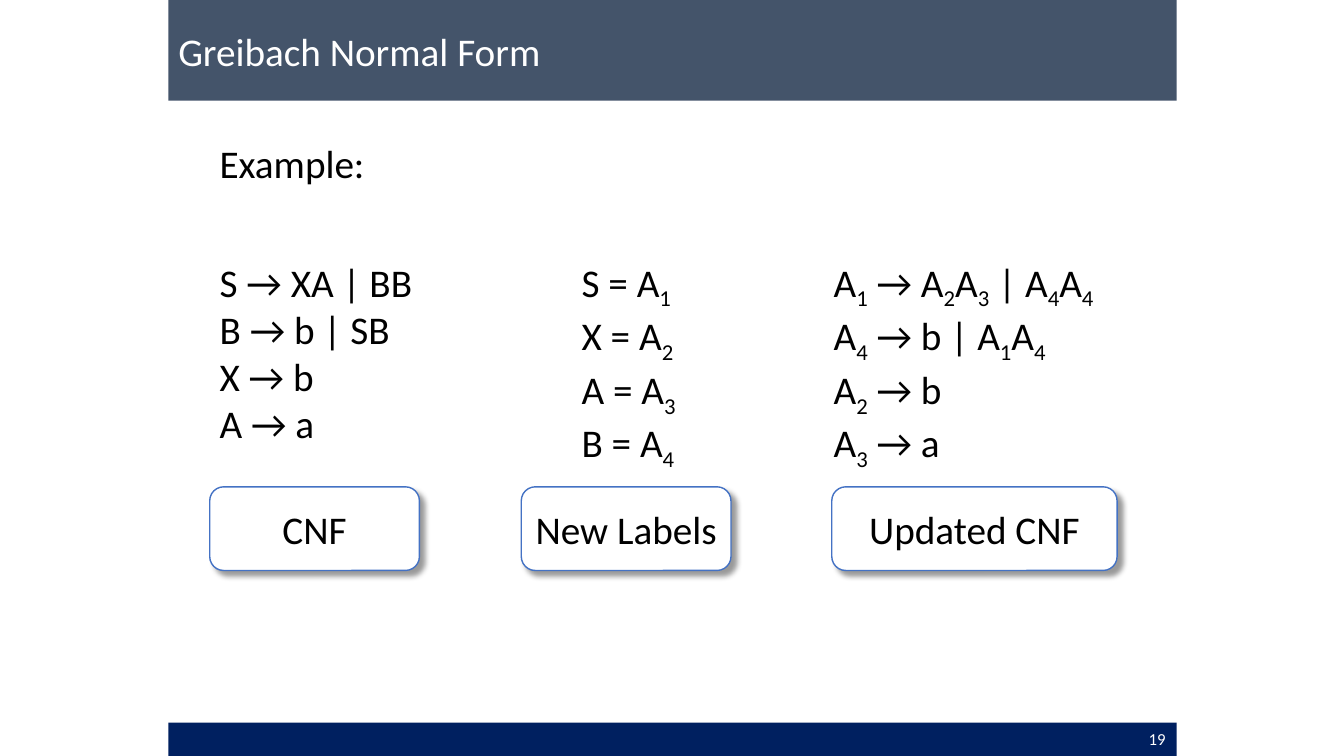
import itertools

import pptx
import pptx.dml.color
import pptx.enum.shapes
import pptx.enum.text
import pptx.oxml
import pptx.oxml.ns
import pptx.util

Inches = pptx.util.Inches
Pt = pptx.util.Pt
Align = pptx.enum.text.PP_ALIGN
Anchor = pptx.enum.text.MSO_ANCHOR
Shape = pptx.enum.shapes.MSO_SHAPE

COLORS = {
    "white": "FFFFFF",
    "black": "000000",
    "slate": "44546A",
    "navy": "002060",
    "blue": "4472C4",
}


class Deck:
    """Holds the slide and its style, and draws each kind of element."""

    font = "Calibri"
    size = 28

    def __init__(self, width, height):
        self.prs = pptx.Presentation()
        self.prs.slide_width = Inches(width)
        self.prs.slide_height = Inches(height)
        self.slide = self.prs.slides.add_slide(self.prs.slide_layouts[6])

    def color(self, name):
        return pptx.dml.color.RGBColor.from_string(COLORS[name])

    def text(self, sp, lines, color="black", size=None, align=Align.LEFT,
             anchor=Anchor.MIDDLE, subscripts=False):
        tf = sp.text_frame
        tf.word_wrap = True
        tf.vertical_anchor = anchor
        for i, line in enumerate(lines):
            p = tf.paragraphs[0] if i == 0 else tf.add_paragraph()
            p.alignment = align
            p.font.name = self.font
            p.font.size = Pt(size or self.size)
            p.font.color.rgb = self.color(color)
            for lowered, chars in itertools.groupby(line, lambda c: subscripts and c.isdigit()):
                r = p.add_run()
                r.text = "".join(chars)
                if lowered:
                    r._r.get_or_add_rPr().set("baseline", "-25000")

    def bar(self, x, y, w, h, fill, shape=Shape.RECTANGLE):
        sp = self.slide.shapes.add_shape(shape, Inches(x), Inches(y), Inches(w), Inches(h))
        sp.shadow.inherit = False
        sp.fill.solid()
        sp.fill.fore_color.rgb = self.color(fill)
        sp.line.fill.background()
        return sp

    def box(self, x, y, w, h):
        return self.slide.shapes.add_textbox(Inches(x), Inches(y), Inches(w), Inches(h))

    def label(self, x, y, w, h, caption):
        sp = self.bar(x, y, w, h, "white", Shape.ROUNDED_RECTANGLE)
        sp.line.color.rgb = self.color("blue")
        sp.line.width = Pt(1)
        effects = sp._element.spPr.find(pptx.oxml.ns.qn("a:effectLst"))
        effects.append(pptx.oxml.parse_xml(
            f'<a:outerShdw {pptx.oxml.ns.nsdecls("a")} blurRad="{Pt(4)}" dist="{Pt(5)}" '
            f'dir="2700000" algn="tl" rotWithShape="0"><a:srgbClr val="{COLORS["black"]}">'
            '<a:alpha val="40000"/></a:srgbClr></a:outerShdw>'))
        sp.text_frame.margin_left = sp.text_frame.margin_right = Inches(0.05)
        self.text(sp, [caption], align=Align.CENTER)

    def column(self, text_x, text_w, label_x, label_w, caption, rules):
        self.text(self.box(text_x, 2.51, text_w, 1.99), rules, anchor=Anchor.TOP, subscripts=True)
        self.label(label_x, 4.83, label_w, 0.83, caption)


def main():
    deck = Deck(13.33, 7.5)
    deck.bar(1.67, 7.17, 10, 0.33, "navy")
    deck.text(deck.bar(1.67, 0, 10, 1, "slate"), ["Greibach Normal Form"], color="white")
    deck.text(deck.box(9.33, 7.15, 2.33, 0.35), ["19"], color="white", size=12, align=Align.RIGHT)
    deck.text(deck.box(2.08, 1.33, 8.33, 0.57), ["Example:"], anchor=Anchor.TOP)
    deck.column(2.08, 2.33, 2.08, 2.08, "CNF",
                ["S → XA | BB", "B → b | SB", "X → b", "A → a"])
    deck.column(5.67, 1.5, 5.17, 2.08, "New Labels",
                ["S = A1", "X = A2", "A = A3", "B = A4"])
    deck.column(8.17, 2.92, 8.25, 2.83, "Updated CNF",
                ["A1 → A2A3 | A4A4", "A4 → b | A1A4", "A2 → b", "A3 → a"])
    deck.prs.save("out.pptx")


if __name__ == "__main__":
    main()
